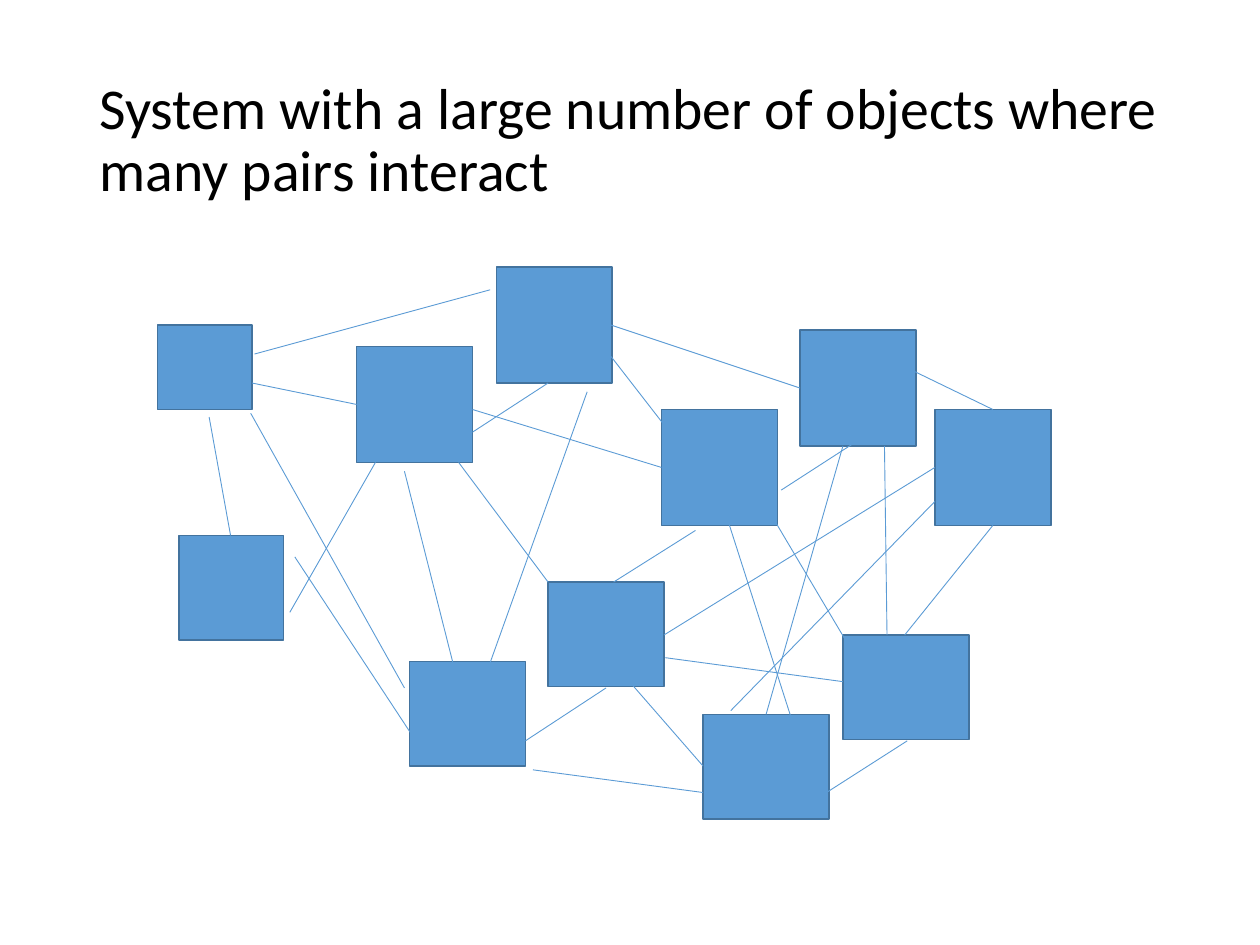
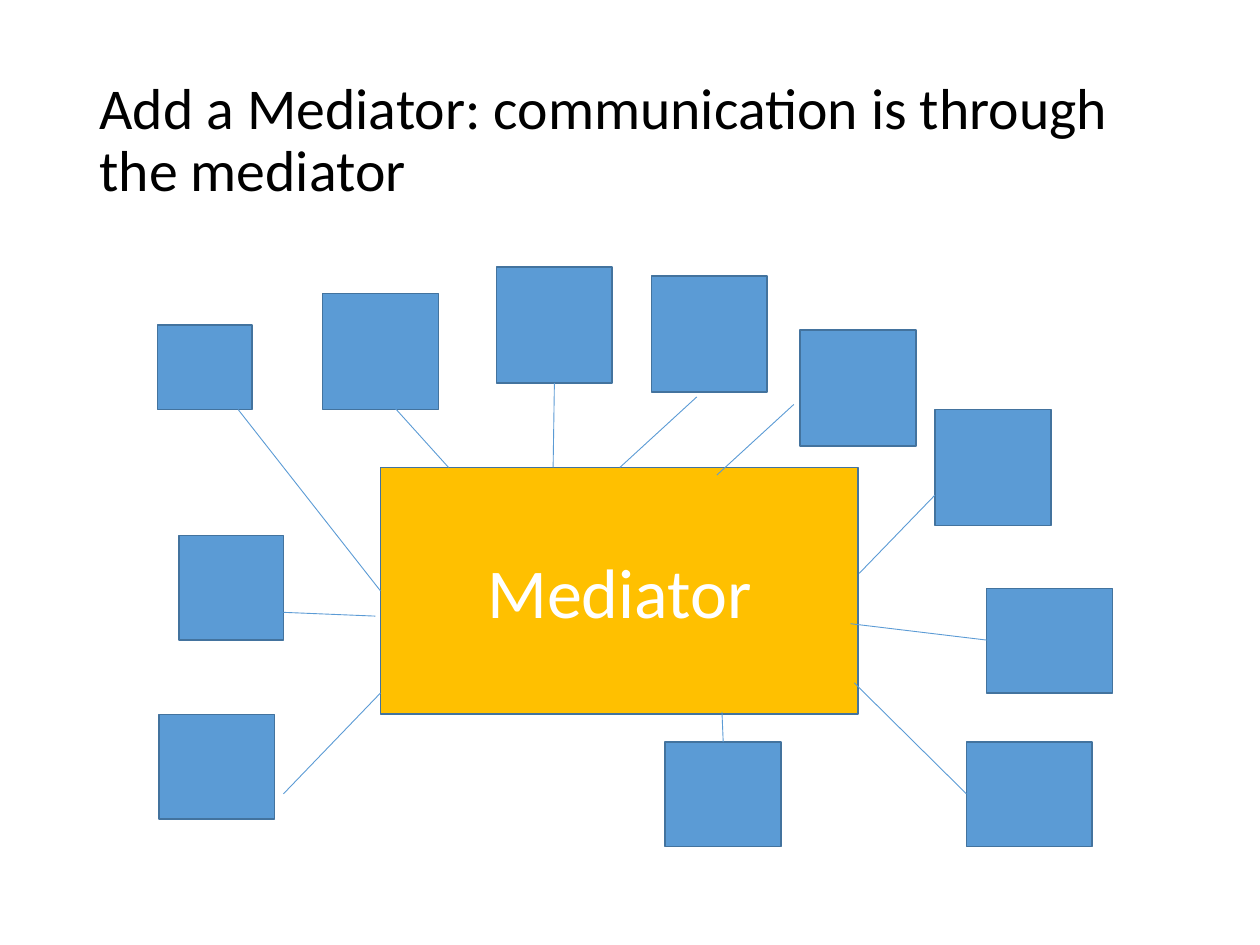
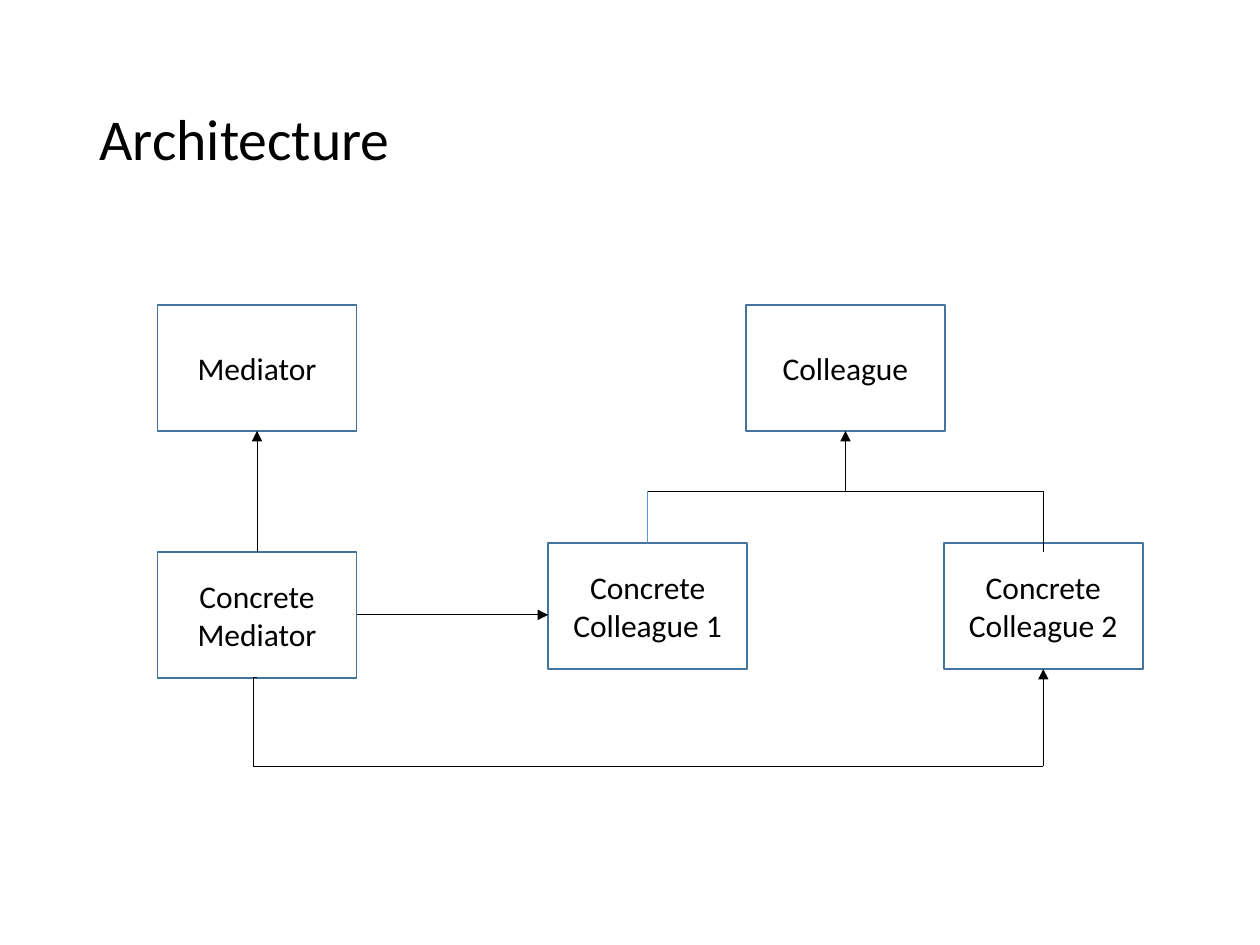
from lxml import etree
from pptx import Presentation
from pptx.dml.color import RGBColor
from pptx.enum.shapes import MSO_CONNECTOR as Connector, MSO_SHAPE as Shape
from pptx.enum.text import MSO_ANCHOR as Anchor, PP_ALIGN as Align
from pptx.oxml.ns import qn
from pptx.util import Cm, Pt

FONT = "Calibri"
COLOURS = {"object": "5B9BD5", "border": "43739E", "mediator": "FFC000",
           "paper": "FFFFFF", "ink": "000000"}
TITLE_AREA = (0.69, 0.4, 8.62, 1.45)

# All places are in inches. Objects: key -> (left, top, width, height)
OBJECTS = {
    "A": (1.25, 2.58, 0.75, 0.67),
    "B": (2.83, 2.75, 0.92, 0.92),
    "C": (1.42, 4.25, 0.83, 0.83),
    "D": (5.25, 3.25, 0.92, 0.92),
    "E": (3.25, 5.25, 0.92, 0.83),
    "F": (7.42, 3.25, 0.92, 0.92),
    "G": (5.58, 5.67, 1, 0.83),
    "H": (3.94, 2.12, 0.92, 0.92),
    "I": (6.35, 2.62, 0.92, 0.92),
    "J": (4.35, 4.62, 0.92, 0.83),
    "K": (6.69, 5.04, 1, 0.83),
}
# Objects that make room for the mediator: key -> (left, top)
MOVED = {"B": (2.56, 2.33), "D": (5.17, 2.19), "E": (1.26, 5.67),
         "G": (7.67, 5.89), "J": (5.28, 5.89), "K": (7.83, 4.67)}
MEDIATOR = (3.02, 3.71, 3.79, 1.96)

# Links: (from x, from y, to x, to y)
PAIR_LINKS = [
    (2, 3.04, 2.83, 3.21), (1.66, 3.31, 1.83, 4.25),
    (1.99, 3.28, 3.21, 5.46), (2.02, 2.81, 3.89, 2.3),
    (4.35, 3.04, 3.75, 3.43), (3.21, 3.74, 3.64, 5.44),
    (4.66, 3.11, 3.89, 5.26), (2.3, 4.86, 2.98, 3.67),
    (2.34, 4.42, 3.3, 5.88), (4.17, 5.88, 4.81, 5.46),
    (3.64, 3.67, 4.35, 4.62), (4.85, 2.58, 6.35, 3.08),
    (4.85, 2.83, 5.37, 3.5), (3.75, 3.25, 5.25, 3.71),
    (4.87, 4.62, 5.52, 4.21), (4.23, 6.11, 5.58, 6.29),
    (6.56, 6.29, 7.2, 5.88), (6.2, 3.89, 6.85, 3.47),
    (7.18, 5.04, 7.88, 4.17), (5.8, 5.64, 7.42, 3.98),
    (7.22, 2.93, 7.88, 3.25), (7.04, 5.04, 7.02, 3.54),
    (6.74, 5.13, 6.07, 4), (6.29, 5.73, 5.78, 4.14),
    (5.58, 6.08, 4.97, 5.38), (6.69, 5.41, 5.28, 5.22),
    (7.42, 3.71, 5.27, 5.04), (6.69, 3.54, 6.08, 5.67),
]
MEDIATOR_LINKS = [
    (2.25, 6.3, 3.02, 5.5), (2.25, 4.86, 2.98, 4.89),
    (1.89, 3.25, 3.02, 4.69), (3.01, 3.1, 3.56, 3.71),
    (4.4, 3.04, 4.39, 3.71), (5.53, 3.15, 4.92, 3.71),
    (6.3, 3.21, 5.69, 3.77), (7.42, 3.93, 6.82, 4.55),
    (7.83, 5.08, 6.75, 4.95), (7.67, 6.3, 6.78, 5.42),
    (5.74, 5.89, 5.73, 5.65),
]

# Architecture classes: label -> (left, top), all of one size
CLASS_WIDTH, CLASS_HEIGHT = 1.58, 1
CLASSES = {
    "Mediator": (1.25, 2.42),
    "Colleague": (5.92, 2.42),
    "Concrete Colleague 1": (4.35, 4.31),
    "Concrete Colleague 2": (7.49, 4.31),
    "Concrete Mediator": (1.25, 4.38),
}
INHERITANCE_Y, CALL_Y = 3.9, 6.08


def inches(*values):
    """Turn inch values into lengths."""
    return [Cm(value * 2.54) for value in values]


def colour(key):
    """Look up a palette colour."""
    return RGBColor.from_string(COLOURS[key])


def add_run(paragraph, text, size, ink):
    """Add one formatted run."""
    run = paragraph.add_run()
    run.text = text
    run.font.name, run.font.size = FONT, Pt(size)
    run.font.color.rgb = colour(ink)


def add_titled_slide(deck, text):
    """Add a slide with the shared title style."""
    slide = deck.slides.add_slide(deck.slide_layouts[5])
    title = slide.shapes.title
    title.left, title.top, title.width, title.height = inches(*TITLE_AREA)
    frame = title.text_frame
    frame.word_wrap, frame.vertical_anchor = True, Anchor.MIDDLE
    paragraph = frame.paragraphs[0]
    paragraph.alignment, paragraph.line_spacing = Align.LEFT, 0.9
    add_run(paragraph, text, 33, "ink")
    return slide


def add_box(slide, area, fill="object", label="", size=18, ink="ink"):
    """Add a bordered rectangle, with a centred label if given."""
    box = slide.shapes.add_shape(Shape.RECTANGLE, *inches(*area))
    box.shadow.inherit = False
    box.fill.solid()
    box.fill.fore_color.rgb = colour(fill)
    box.line.color.rgb, box.line.width = colour("border"), Pt(1)
    if label:
        frame = box.text_frame
        frame.word_wrap, frame.vertical_anchor = True, Anchor.MIDDLE
        frame.paragraphs[0].alignment = Align.CENTER
        add_run(frame.paragraphs[0], label, size, ink)


def add_link(slide, ends, ink="object", arrow=False, bend=None):
    """Add a thin line, with an arrowhead or an elbow at the bend if asked."""
    kind = Connector.STRAIGHT if bend is None else Connector.ELBOW
    link = slide.shapes.add_connector(kind, *inches(*ends))
    link.line.color.rgb, link.line.width = colour(ink), Pt(0.5)
    properties = link._element.spPr
    etree.SubElement(properties, qn("a:effectLst"))
    if arrow:
        etree.SubElement(properties.find(qn("a:ln")), qn("a:tailEnd"), type="triangle")
    if bend is not None:
        guides = properties.find(qn("a:prstGeom")).get_or_add_avLst()
        etree.SubElement(guides, qn("a:gd"), name="adj1", fmla=f"val {round(bend * 100000)}")


def add_objects(slide, moved):
    """Draw every object, at its moved place if it has one."""
    for key, (left, top, width, height) in OBJECTS.items():
        add_box(slide, (*moved.get(key, (left, top)), width, height))


def build_pairs(deck):
    """Objects that interact pair by pair."""
    slide = add_titled_slide(
        deck, "System with a large number of objects where many pairs interact")
    add_objects(slide, {})
    for ends in PAIR_LINKS:
        add_link(slide, ends)


def build_mediator(deck):
    """Objects that interact through the mediator."""
    slide = add_titled_slide(deck, "Add a Mediator: communication is through the mediator")
    add_objects(slide, MOVED)
    add_box(slide, MEDIATOR, "mediator", "Mediator", 40, "paper")
    for ends in MEDIATOR_LINKS:
        add_link(slide, ends)


def build_architecture(deck):
    """Class diagram of the pattern."""
    slide = add_titled_slide(deck, "Architecture")
    for label, place in CLASSES.items():
        add_box(slide, (*place, CLASS_WIDTH, CLASS_HEIGHT), "paper", label)

    centre = {label: left + CLASS_WIDTH / 2 for label, (left, top) in CLASSES.items()}
    mediator_x, colleague_x = centre["Mediator"], centre["Colleague"]
    first_x, second_x = centre["Concrete Colleague 1"], centre["Concrete Colleague 2"]
    parent_bottom = CLASSES["Mediator"][1] + CLASS_HEIGHT
    concrete_left, concrete_top = CLASSES["Concrete Mediator"]
    first_left, child_top = CLASSES["Concrete Colleague 1"]
    call_y = concrete_top + CLASS_HEIGHT / 2

    add_link(slide, (mediator_x, concrete_top, mediator_x, parent_bottom), "ink", True)
    add_link(slide, (colleague_x, INHERITANCE_Y, colleague_x, parent_bottom), "ink", True)
    add_link(slide, (first_x, INHERITANCE_Y, second_x, INHERITANCE_Y), "ink")
    add_link(slide, (first_x, child_top, first_x, INHERITANCE_Y))
    add_link(slide, (second_x, concrete_top, second_x, INHERITANCE_Y), "ink")
    add_link(slide, (concrete_left + CLASS_WIDTH, call_y, first_left, call_y), "ink", True)
    add_link(slide, (second_x, CALL_Y, second_x, child_top + CLASS_HEIGHT), "ink", True)
    add_link(slide, (mediator_x, concrete_top + CLASS_HEIGHT, second_x, CALL_Y),
             "ink", bend=-0.005)


deck = Presentation()
deck.slide_width, deck.slide_height = inches(10, 7.5)
build_pairs(deck)
build_mediator(deck)
build_architecture(deck)
deck.save("out.pptx")
